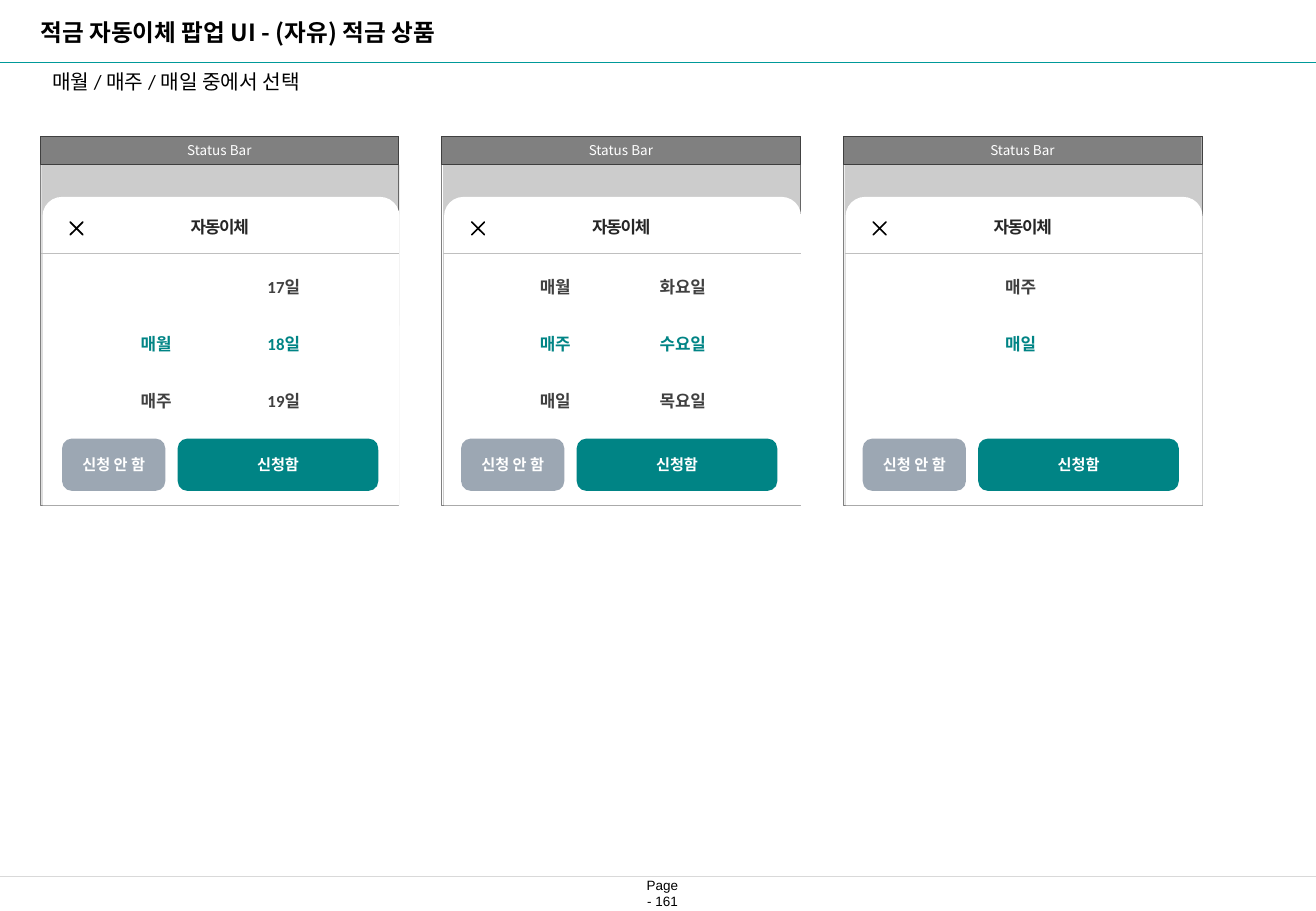
from lxml import etree
from pptx import Presentation
from pptx.dml.color import RGBColor
from pptx.enum.shapes import MSO_CONNECTOR, MSO_SHAPE
from pptx.enum.text import MSO_ANCHOR, PP_ALIGN
from pptx.oxml.ns import qn
from pptx.util import Pt

RECT, ROUND = MSO_SHAPE.RECTANGLE, MSO_SHAPE.ROUNDED_RECTANGLE
SHEET, CROSS = MSO_SHAPE.ROUND_2_SAME_RECTANGLE, MSO_SHAPE.MATH_MULTIPLY
STRAIGHT = MSO_CONNECTOR.STRAIGHT
LEFT, CENTER, MIDDLE = PP_ALIGN.LEFT, PP_ALIGN.CENTER, MSO_ANCHOR.MIDDLE
NOTO, TEAL = "Noto Sans CJK KR", "008485"
rgb = RGBColor.from_string


def write(frame, text, size, color, bold=False, align=CENTER, face=NOTO):
    frame.text = text
    para = frame.paragraphs[0]
    para.alignment = align
    for run in para.runs:
        font = run.font
        font.size, font.bold, font.name = Pt(size), bold, face
        font.color.rgb = rgb(color)
        east = etree.SubElement(font._element, qn("a:ea"))
        east.set("typeface", NOTO)


def draw(parent, kind, x, y, w, h, fill, line=None, weight=0.25):
    shape = parent.add_shape(kind, Pt(x), Pt(y), Pt(w), Pt(h))
    shape.shadow.inherit = False
    shape.fill.solid()
    shape.fill.fore_color.rgb = rgb(fill)
    if line:
        shape.line.color.rgb = rgb(line)
        shape.line.width = Pt(weight)
    else:
        shape.line.fill.background()
    return shape


deck = Presentation()
deck.slide_width, deck.slide_height = Pt(780), Pt(540)
slide = deck.slides.add_slide(deck.slide_layouts[5])
shapes = slide.shapes

# Title
title = shapes.title
title.left, title.top, title.width, title.height = Pt(16.8), Pt(6.5), Pt(422.5), Pt(24.5)
write(title.text_frame, "적금 자동이체 팝업 UI - (자유) 적금 상품", 14, "000000", True, LEFT)
title.text_frame.vertical_anchor = MIDDLE

# Phone panels: picker rows as (text, text); a single entry spans both columns
panels = [
    (1.5, [("", "17일"), ("매월", "18일"), ("매주", "19일")]),
    (0, [("매월", "화요일"), ("매주", "수요일"), ("매일", "목요일")]),
    (0, [("매주",), ("매일",), ("", "")]),
]
rules = [(0, 780, 36.9, "009999", 0.25), (0, 780, 519.8, "D9D9D9", 0.5)]
for i, (shift, rows) in enumerate(panels):
    x = 23.8 + 238 * i

    # Screen, status bar, dimmed backdrop and popup sheet
    draw(shapes, RECT, x, 80.8, 212.5, 218.7, "FFFFFF", "808080")
    bar = draw(shapes, RECT, x, 80.8, 212.5, 16.8, "808080", "404040")
    write(bar.text_frame, "Status Bar", 8, "FFFFFF")
    bar.text_frame.vertical_anchor = MIDDLE
    dim = draw(shapes, RECT, x + 0.8, 97.8, 212.2, 201.7, "000000")
    shade = dim._element.spPr.find(".//" + qn("a:srgbClr"))
    etree.SubElement(shade, qn("a:alpha")).set("val", "20000")
    sheet = draw(shapes, SHEET, x + 1.4, 116.7, 211.6, 182.8, "FFFFFF")
    sheet.adjustments[0] = 0.063

    # Popup header
    head = shapes.add_textbox(Pt(x + 87.7), Pt(128.7), Pt(37.4), Pt(12.2))
    frame = head.text_frame
    frame.margin_left = frame.margin_right = frame.margin_top = frame.margin_bottom = 0
    frame.word_wrap = False
    write(frame, "자동이체", 10, "262626", True)
    frame.paragraphs[0].runs[0].font._element.set("spc", "-70")
    rules.append((x + 0.8, x + 213, 150.5, "BFBFBF", 0.5))
    cross = draw(shapes, CROSS, x + 14.4, 128.2, 14.4, 14.4, "000000", "000000", 1)
    cross.adjustments[0] = 0

    # Picker table, middle row selected
    table = shapes.add_table(3, 2, Pt(x + 29.5 + shift), Pt(153), Pt(151.2), Pt(101.4)).table
    table.first_row = table.horz_banding = False
    for r, row in enumerate(rows):
        table.rows[r].height = Pt(33.8)
        for cell in table.rows[r].cells:
            cell.fill.background()
            cell.vertical_anchor = MIDDLE
        if len(row) == 1:
            table.cell(r, 0).merge(table.cell(r, 1))
        for c, text in enumerate(row):
            if text:
                write(table.cell(r, c).text_frame, text, 10,
                      TEAL if r == 1 else "404040", True, face="Calibri")

    # Buttons
    pair = shapes.add_group_shape().shapes
    for text, left, width, fill in [("신청함", 80, 118.9, TEAL),
                                    ("신청 안 함", 11.5, 61.2, "9CA7B3")]:
        button = draw(pair, ROUND, x + left + shift, 260, width, 31, fill)
        button.adjustments[0] = 0.186
        write(button.text_frame, text, 9, "FFFFFF", True)
        button.text_frame.vertical_anchor = MIDDLE

# Rules: page header, page footer and popup headers
for start, end, y, color, weight in rules:
    rule = shapes.add_connector(STRAIGHT, Pt(start), Pt(y), Pt(end), Pt(y))
    rule.line.color.rgb = rgb(color)
    rule.line.width = Pt(weight)
    etree.SubElement(rule._element.spPr, qn("a:effectLst"))

# Bullet line
note = shapes.add_textbox(Pt(23.8), Pt(37.4), Pt(748.8), Pt(26)).text_frame
note.word_wrap = True
para = note.paragraphs[0]
props = para._p.get_or_add_pPr()
props.set("marL", str(Pt(13.5)))
props.set("indent", str(Pt(-13.5)))
etree.SubElement(props, qn("a:buChar")).set("char", "▪")
write(note, "매월 / 매주 / 매일 중에서 선택", 12, "000000", align=LEFT, face="Calibri")
para.line_spacing = 1.5

# Page number
page = shapes.add_textbox(Pt(375.8), Pt(519.1), Pt(33.8), Pt(20.9)).text_frame
page.word_wrap = False
page.vertical_anchor = MIDDLE
write(page, "Page - 161", 8, "000000", face="Arial")

deck.save("out.pptx")
